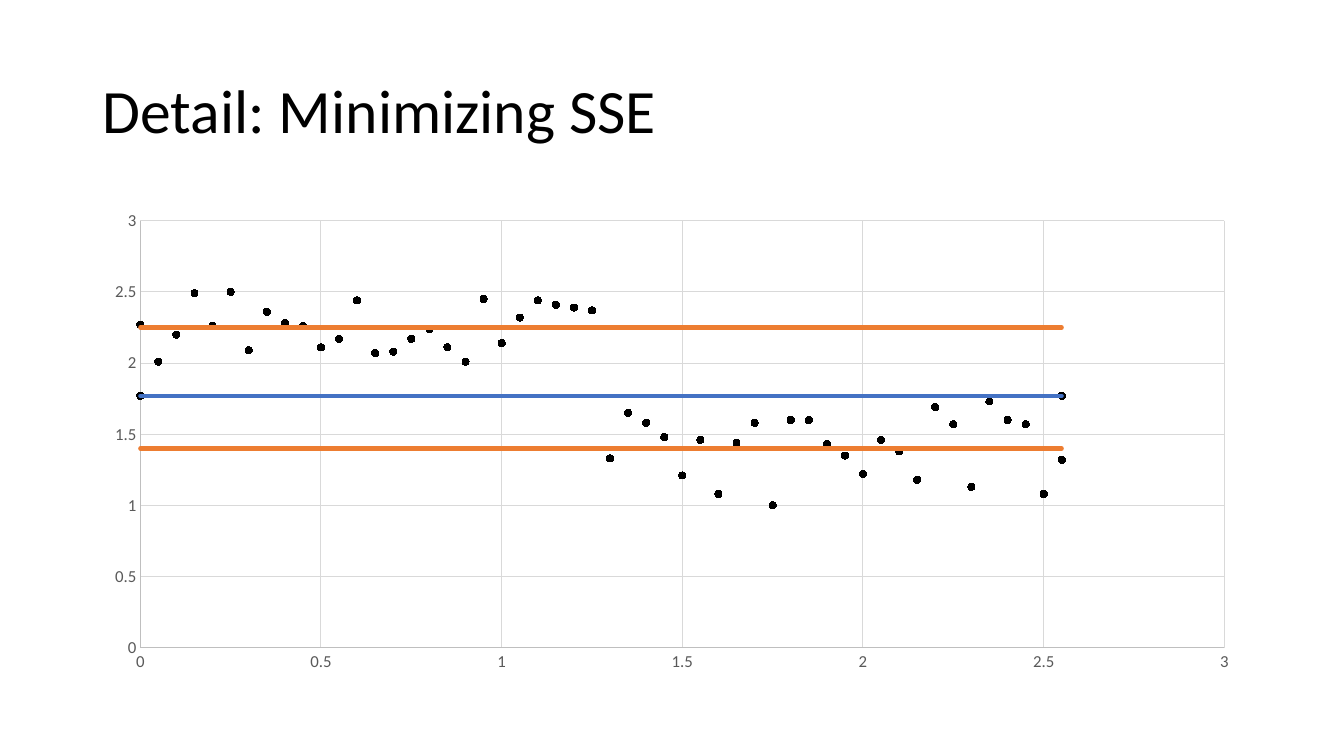
import pptx
import pptx.chart.data
import pptx.dml.color
import pptx.enum.chart
import pptx.enum.text
import pptx.oxml
import pptx.oxml.ns
import pptx.util

# Content
TITLE = "Detail: Minimizing SSE"
STEP = 0.05
LEFT_GROUP = [
    2.27, 2.01, 2.2, 2.49, 2.26, 2.5, 2.09, 2.36, 2.28, 2.26, 2.11, 2.17, 2.44,
    2.07, 2.08, 2.17, 2.24, 2.11, 2.01, 2.45, 2.14, 2.32, 2.44, 2.41, 2.39, 2.37,
]
RIGHT_GROUP = [
    1.33, 1.65, 1.58, 1.48, 1.21, 1.46, 1.08, 1.44, 1.58, 1, 1.6, 1.6, 1.43,
    1.35, 1.22, 1.46, 1.38, 1.18, 1.69, 1.57, 1.13, 1.73, 1.6, 1.57, 1.08, 1.32,
]
OVERALL_MEAN, LEFT_MEAN, RIGHT_MEAN = 1.77, 2.25, 1.4

FONT = "Calibri"
BLACK = pptx.dml.color.RGBColor(0x00, 0x00, 0x00)
BLUE = pptx.dml.color.RGBColor(0x44, 0x72, 0xC4)
ORANGE = pptx.dml.color.RGBColor(0xED, 0x7D, 0x31)
LABEL_GREY = pptx.dml.color.RGBColor(0x59, 0x59, 0x59)
AXIS_GREY = pptx.dml.color.RGBColor(0xBF, 0xBF, 0xBF)
GRID_GREY = pptx.dml.color.RGBColor(0xD9, 0xD9, 0xD9)

count = len(LEFT_GROUP) + len(RIGHT_GROUP)
positions = [round(i * STEP, 2) for i in range(count)]

# Name, y value at each position (None is a gap), dots shown, trend line colour
SERIES = [
    ("Series 1", LEFT_GROUP + [None] * len(RIGHT_GROUP), True, None),
    ("Series 2", [None] * len(LEFT_GROUP) + RIGHT_GROUP, True, None),
    ("Series 3", [OVERALL_MEAN] + [None] * (count - 2) + [OVERALL_MEAN], True, BLUE),
    ("Series 4", [LEFT_MEAN] * count, False, ORANGE),
    ("Series 5", [RIGHT_MEAN] * count, False, ORANGE),
]

# Slide and shared frame
deck = pptx.Presentation()
deck.slide_width = pptx.util.Inches(13.33)
deck.slide_height = pptx.util.Inches(7.5)
slide = deck.slides.add_slide(deck.slide_layouts[6])
margin = pptx.util.Inches(0.92)
content_width = pptx.util.Inches(11.5)


def clear_gaps(chart_space):
    for point in list(chart_space.iter(pptx.oxml.ns.qn("c:pt"))):
        if point.findtext(pptx.oxml.ns.qn("c:v")) in (None, "", "None"):
            point.getparent().remove(point)


def add_trend_line(series, color):
    trend = pptx.oxml.parse_xml(
        f'<c:trendline {pptx.oxml.ns.nsdecls("c", "a")}><c:spPr>'
        f'<a:ln w="{pptx.util.Pt(3)}" cap="rnd"><a:solidFill><a:srgbClr val="{color}"/>'
        '</a:solidFill><a:prstDash val="solid"/></a:ln></c:spPr>'
        '<c:trendlineType val="linear"/><c:dispRSqr val="0"/><c:dispEq val="0"/>'
        '</c:trendline>')
    series._element.find(pptx.oxml.ns.qn("c:xVal")).addprevious(trend)


def style_axis(axis):
    axis.minimum_scale, axis.maximum_scale, axis.major_unit = 0, 3, 0.5
    axis.major_tick_mark = axis.minor_tick_mark = pptx.enum.chart.XL_TICK_MARK.NONE
    axis.has_major_gridlines = True
    for line, color in ((axis.format.line, AXIS_GREY),
                        (axis.major_gridlines.format.line, GRID_GREY)):
        line.color.rgb = color
        line.width = pptx.util.Pt(0.75)
    labels = axis.tick_labels.font
    labels.name, labels.size = FONT, pptx.util.Pt(12)
    labels.color.rgb = LABEL_GREY


# Title
heading = slide.shapes.add_textbox(
    margin, pptx.util.Inches(0.4), content_width, pptx.util.Inches(1.45)).text_frame
heading.word_wrap = True
heading.vertical_anchor = pptx.enum.text.MSO_ANCHOR.MIDDLE
heading.paragraphs[0].line_spacing = 0.9
title_run = heading.paragraphs[0].add_run()
title_run.text = TITLE
title_run.font.name, title_run.font.size = FONT, pptx.util.Pt(44)
title_run.font.color.rgb = BLACK

# Scatter chart
scatter_data = pptx.chart.data.XyChartData()
for name, values, _, _ in SERIES:
    points = scatter_data.add_series(name)
    for x, y in zip(positions, values):
        points.add_data_point(x, y)
scatter = slide.shapes.add_chart(
    pptx.enum.chart.XL_CHART_TYPE.XY_SCATTER, margin, pptx.util.Inches(2),
    content_width, pptx.util.Inches(4.76), scatter_data).chart
clear_gaps(scatter._chartSpace)
scatter.has_title = scatter.has_legend = False
scatter.font.name, scatter.font.size = FONT, pptx.util.Pt(10)
scatter.font.color.rgb = BLACK
scatter.plots[0].vary_by_categories = False
style_axis(scatter.category_axis)
style_axis(scatter.value_axis)

# Dots and mean lines
for series, (_, _, dots_shown, trend_color) in zip(scatter.plots[0].series, SERIES):
    series.format.line.fill.background()
    if dots_shown:
        series.marker.style = pptx.enum.chart.XL_MARKER_STYLE.CIRCLE
        series.marker.size = 5
        series.marker.format.fill.solid()
        series.marker.format.fill.fore_color.rgb = BLACK
        series.marker.format.line.color.rgb = BLACK
    else:
        series.marker.style = pptx.enum.chart.XL_MARKER_STYLE.NONE
    if trend_color is not None:
        add_trend_line(series, trend_color)

# Plot area as shares of the chart
plot_area = scatter._chartSpace.chart.plotArea
for old_layout in plot_area.findall(pptx.oxml.ns.qn("c:layout")):
    plot_area.remove(old_layout)
shares = {"x": 0.041, "y": 0.04, "w": 0.935, "h": 0.89}
plot_area.insert(0, pptx.oxml.parse_xml(
    f'<c:layout {pptx.oxml.ns.nsdecls("c")}><c:manualLayout>'
    '<c:layoutTarget val="inner"/><c:xMode val="edge"/><c:yMode val="edge"/>'
    + "".join(f'<c:{key} val="{share}"/>' for key, share in shares.items())
    + '</c:manualLayout></c:layout>'))

deck.save("out.pptx")
